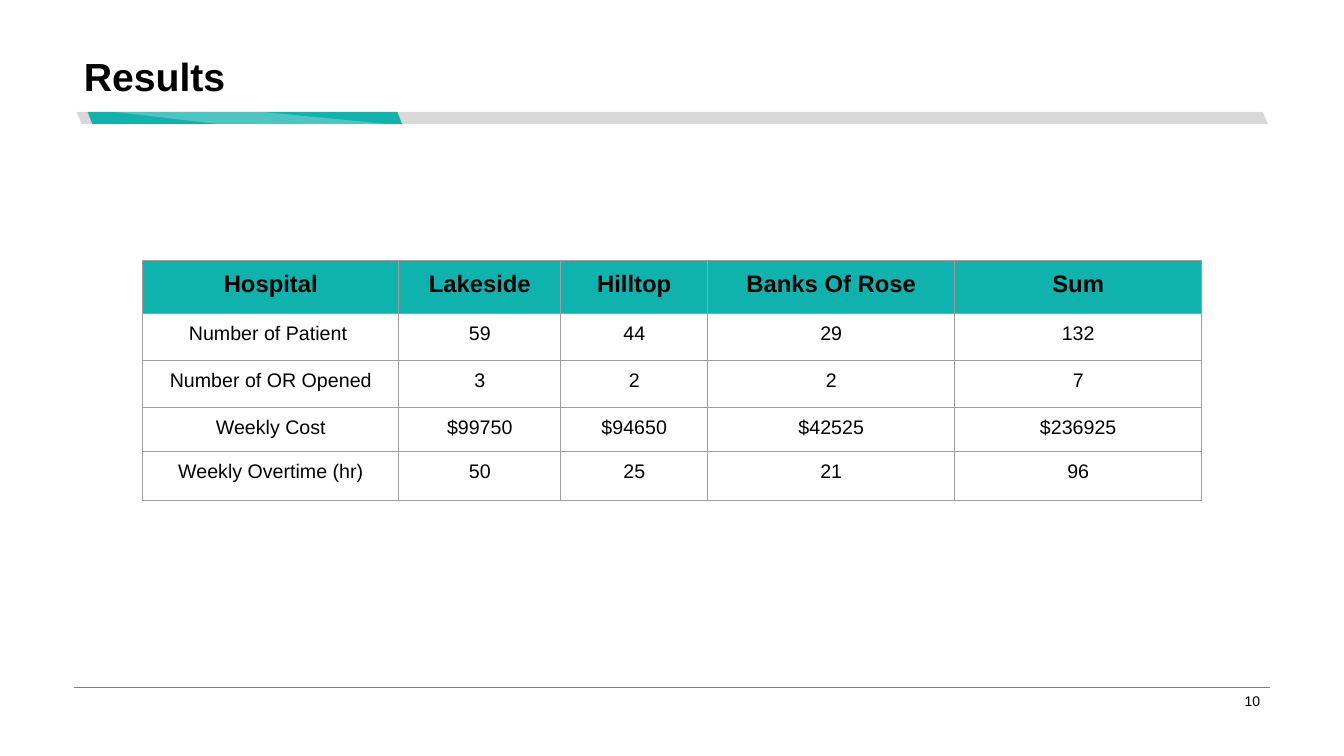
import pptx
import pptx.util
import pptx.dml.color
import pptx.enum.shapes
import pptx.enum.text
import pptx.oxml
import pptx.oxml.ns
import lxml.etree

Pt = pptx.util.Pt
ALIGN = pptx.enum.text.PP_ALIGN
ANCHOR = pptx.enum.text.MSO_ANCHOR
TEAL = "11B2AE"
HEADER_TEAL = "10B2AE"
BORDER_GRAY = "9E9E9E"

RESULTS = [
    ["Hospital", "Lakeside", "Hilltop", "Banks Of Rose", "Sum"],
    ["Number of Patient ", "59", "44", "29", "132"],
    ["Number of OR Opened", "3", "2", "2", "7"],
    ["Weekly Cost", "$99750", "$94650", "$42525", "$236925"],
    ["Weekly Overtime (hr)", "50", "25", "21", "96"],
]
COLUMN_WIDTHS = [182.9, 115.7, 105, 176.4, 176.4]
ROW_HEIGHTS = [37.6, 33.6, 33.6, 31.4, 35]


def color(value):
    """Return the colour for a hex string."""
    return pptx.dml.color.RGBColor.from_string(value)


def add_child(parent, tag, **attributes):
    """Append a drawing element to a parent and return it."""
    child = lxml.etree.SubElement(parent, pptx.oxml.ns.qn(tag))
    for name, value in attributes.items():
        child.set(name, value)
    return child


def paint(shape, fill):
    """Give a shape a plain fill without line or shadow."""
    shape.shadow.inherit = False
    shape.fill.solid()
    shape.fill.fore_color.rgb = color(fill)
    shape.line.fill.background()


def write(frame, text, size, bold=False, **paragraph_format):
    """Write one formatted paragraph into a text frame."""
    paragraph = frame.paragraphs[0]
    for name, value in paragraph_format.items():
        setattr(paragraph, name, value)
    run = paragraph.add_run()
    run.text = text
    font_format = {"name": "Arial", "size": Pt(size), "bold": bold}
    for name, value in font_format.items():
        setattr(run.font, name, value)
    run.font.color.rgb = color("000000")


def add_text(slide, box, text, size, anchor, **text_format):
    """Add a wrapped text box."""
    frame = slide.shapes.add_textbox(*map(Pt, box)).text_frame
    frame_format = {
        "word_wrap": True,
        "vertical_anchor": anchor,
        "margin_left": Pt(7.2),
        "margin_right": Pt(7.2),
        "margin_top": Pt(3.6),
        "margin_bottom": Pt(3.6),
    }
    for name, value in frame_format.items():
        setattr(frame, name, value)
    write(frame, text, size, **text_format)


def add_slanted_bar(slide, left, width, slant, fill):
    """Add a mirrored parallelogram to the title band."""
    kind = pptx.enum.shapes.MSO_SHAPE.PARALLELOGRAM
    bar = slide.shapes.add_shape(kind, Pt(left), Pt(79.9), Pt(width), Pt(8.64))
    bar.adjustments[0] = slant
    bar._element.spPr.xfrm.set("flipH", "1")
    paint(bar, fill)


def add_highlight(slide, points, fill, opacity):
    """Add a translucent polygon."""
    corners = [(Pt(x), Pt(y)) for x, y in points]
    builder = slide.shapes.build_freeform(*corners[0])
    builder.add_line_segments(corners[1:], close=True)
    highlight = builder.convert_to_shape()
    paint(highlight, fill)
    tint = highlight._element.spPr.find(".//" + pptx.oxml.ns.qn("a:srgbClr"))
    add_child(tint, "a:alpha", val=str(opacity * 1000))


def add_rule(slide, start, end, stroke):
    """Add a thin straight line."""
    kind = pptx.enum.shapes.MSO_CONNECTOR.STRAIGHT
    rule = slide.shapes.add_connector(kind, *map(Pt, start + end))
    rule.line.color.rgb = color(stroke)
    rule.line.width = Pt(0.75)
    add_child(rule._element.spPr, "a:effectLst")


def add_borders(cell, stroke):
    """Draw all four borders of a cell."""
    properties = cell._tc.get_or_add_tcPr()
    for side in ("a:lnL", "a:lnR", "a:lnT", "a:lnB"):
        line = add_child(properties, side, w=str(Pt(0.75)))
        add_child(add_child(line, "a:solidFill"), "a:srgbClr", val=stroke)


def format_cell(cell, text, is_header):
    """Fill in one table cell."""
    cell_format = {"vertical_anchor": ANCHOR.TOP}
    for side in ("left", "right", "top", "bottom"):
        cell_format["margin_" + side] = Pt(7.2)
    for name, value in cell_format.items():
        setattr(cell, name, value)
    add_borders(cell, BORDER_GRAY)
    if is_header:
        cell.fill.solid()
        cell.fill.fore_color.rgb = color(HEADER_TEAL)
    else:
        cell.fill.background()
    size = 17 if is_header else 14
    write(cell.text_frame, text, size, is_header, alignment=ALIGN.CENTER)


def add_results_table(slide, left, top):
    """Add the table of hospital results."""
    size = (sum(COLUMN_WIDTHS), sum(ROW_HEIGHTS))
    table = slide.shapes.add_table(
        len(RESULTS), len(RESULTS[0]), *map(Pt, (left, top, *size))
    ).table
    for name, value in {"first_row": False, "horz_banding": False}.items():
        setattr(table, name, value)
    for column, width in zip(table.columns, COLUMN_WIDTHS):
        column.width = Pt(width)
    for row, height in zip(table.rows, ROW_HEIGHTS):
        row.height = Pt(height)
    for row_index, texts in enumerate(RESULTS):
        for column_index, text in enumerate(texts):
            cell = table.cell(row_index, column_index)
            format_cell(cell, text, row_index == 0)


def main():
    """Build the results slide."""
    presentation = pptx.Presentation()
    presentation.slide_width = Pt(960)
    presentation.slide_height = Pt(540)
    slide = presentation.slides.add_slide(presentation.slide_layouts[6])
    add_slanted_bar(slide, 54.7, 851, 0.424, "D8D8D8")
    add_slanted_bar(slide, 62.6, 224.6, 0.388, TEAL)
    highlight = [(277.2, 88.54), (187.2, 79.9), (82.1, 79.9), (155.5, 88.54)]
    add_highlight(slide, highlight, "FFFFFF", 25)
    add_rule(slide, (52.8, 491), (907.2, 491), "7F7F7F")
    add_text(slide, (52.8, 29.5, 854.4, 45.4), "Results", 28, ANCHOR.BOTTOM,
             bold=True, line_spacing=0.9)
    add_text(slide, (678.2, 492.5, 229, 16.6), "10", 10, ANCHOR.MIDDLE,
             alignment=ALIGN.RIGHT)
    add_results_table(slide, 102, 186)
    presentation.save("out.pptx")


if __name__ == "__main__":
    main()
